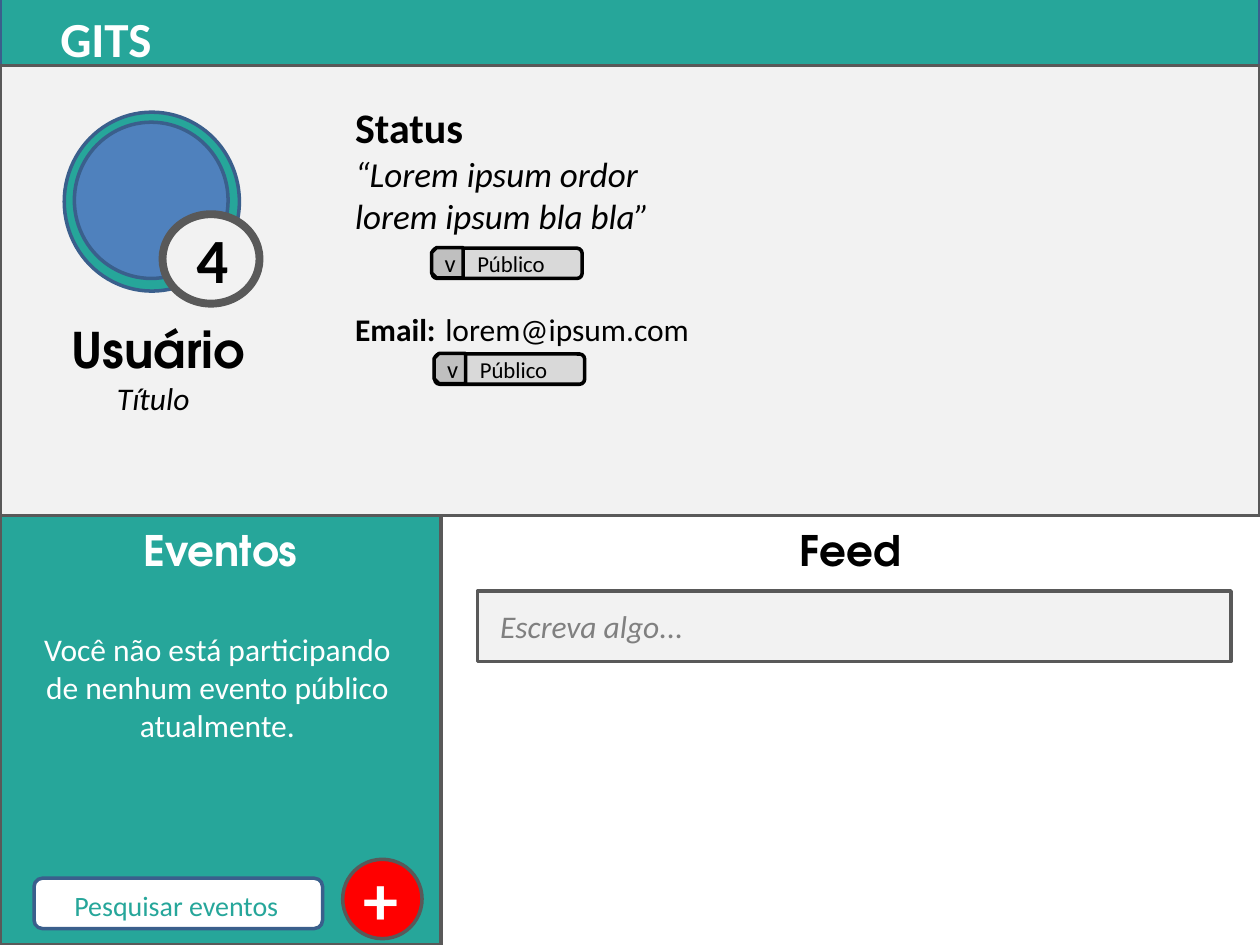
from dataclasses import dataclass, field

from lxml import etree
from pptx import Presentation
from pptx.dml.color import RGBColor
from pptx.enum.shapes import MSO_SHAPE
from pptx.enum.text import MSO_AUTO_SIZE, PP_ALIGN
from pptx.oxml.ns import qn
from pptx.util import Inches, Pt

RECT, ROUND = MSO_SHAPE.RECTANGLE, MSO_SHAPE.ROUNDED_RECTANGLE
ELLIPSE, SNIP = MSO_SHAPE.OVAL, MSO_SHAPE.SNIP_2_SAME_RECTANGLE
LEFT, CENTER = PP_ALIGN.LEFT, PP_ALIGN.CENTER

BODY, DISPLAY = "Calibri", "TeX Gyre Adventor"
TEAL, NAVY, BLUE, RED = "26A69A", "3A5F8C", "4F81BD", "FF0000"
PALE, SLATE, GREY = "F2F2F2", "595959", "808080"
BLACK, WHITE = "000000", "FFFFFF"


@dataclass
class Panel:
    kind: int
    at: tuple
    fill: str
    line: str
    width: float = 2
    rotation: float = 0


@dataclass
class Run:
    text: str
    size: float
    color: str = BLACK
    font: str = BODY
    style: dict = field(default_factory=dict)


@dataclass
class Label:
    at: tuple
    paragraphs: list
    align: int = LEFT
    tab: float = 0


BOLD, ITALIC = {"bold": True}, {"italic": True}


def rgb(value: str) -> RGBColor:
    return RGBColor.from_string(value)


def draw_panel(shapes, panel: Panel) -> None:
    sp = shapes.add_shape(panel.kind, *map(Inches, panel.at))
    sp.shadow.inherit = False
    sp.rotation = panel.rotation
    sp.fill.solid()
    sp.fill.fore_color.rgb = rgb(panel.fill)
    sp.line.color.rgb = rgb(panel.line)
    sp.line.width = Pt(panel.width)


def add_tab_stop(p, position: float) -> None:
    tabs = etree.SubElement(p._p.get_or_add_pPr(), qn("a:tabLst"))
    etree.SubElement(tabs, qn("a:tab"), pos=str(Inches(position)), algn="l")


def add_run(p, run: Run) -> None:
    """Add the run, turning newlines into line breaks."""
    for i, line in enumerate(run.text.split("\n")):
        if i:
            p.add_line_break()
        r = p.add_run()
        r.text = line
        formats = {"name": run.font, "size": Pt(run.size), **run.style}
        for name, value in formats.items():
            setattr(r.font, name, value)
        r.font.color.rgb = rgb(run.color)


def draw_label(shapes, label: Label) -> None:
    tf = shapes.add_textbox(*map(Inches, label.at)).text_frame
    tf.word_wrap = True
    tf.auto_size = MSO_AUTO_SIZE.SHAPE_TO_FIT_TEXT
    for i, runs in enumerate(label.paragraphs):
        p = tf.add_paragraph() if i else tf.paragraphs[0]
        p.alignment = label.align
        if label.tab:
            add_tab_stop(p, label.tab)
        for run in runs:
            add_run(p, run)


def draw(shapes, items: list) -> None:
    """Draw items back to front; a nested list becomes a group."""
    for item in items:
        if isinstance(item, list):
            draw(shapes.add_group_shape().shapes, item)
        elif isinstance(item, Panel):
            draw_panel(shapes, item)
        else:
            draw_label(shapes, item)


def privacy_picker(x: float, y: float) -> list:
    return [
        Panel(ROUND, (x, y, 1.19, 0.24), "D9D9D9", BLACK),
        Panel(SNIP, (x, y - 0.01, 0.24, 0.25), "BFBFBF", BLACK, rotation=270),
        Label((x, y - 0.05, 1.2, 0.34),
              [[Run("v\t", 14), Run("Público", 13)]], tab=0.26),
    ]


HEADER = [
    Panel(RECT, (0, -0.03, 10, 0.63), TEAL, NAVY),
    Label((0.38, 0.02, 1.81, 0.57), [[Run("GITS", 28, WHITE, style=BOLD)]]),
]
PROFILE = [
    Panel(RECT, (0, 0.52, 10, 3.57), PALE, SLATE),
    Label((0.47, 2.49, 1.78, 0.57),
          [[Run("Usuário", 28, font=DISPLAY, style=BOLD)]]),
    [
        Panel(ELLIPSE, (0.51, 0.89, 1.39, 1.42), TEAL, NAVY),
        Panel(ELLIPSE, (0.59, 0.97, 1.22, 1.24), BLUE, NAVY),
        Panel(ELLIPSE, (1.29, 1.7, 0.77, 0.71), PALE, SLATE, 4.5),
        Label((1.46, 1.7, 0.54, 0.71), [[Run("4", 36, style=BOLD)]]),
    ],
    Label((0.83, 2.96, 1.57, 0.4), [[Run("Título", 18, style=ITALIC)]]),
    Label((2.72, 0.76, 2.86, 1.18), [
        [Run("Status", 24, style=BOLD)],
        [Run("“Lorem ipsum ordor\nlorem ipsum bla bla”", 20, style=ITALIC)],
    ]),
    Label((2.72, 2.33, 3.03, 0.5), [[
        Run("Email:", 18, style=BOLD),
        Run(" ", 24, style=BOLD),
        Run("lorem@ipsum.com", 18),
    ]]),
]
EVENTS = [
    Panel(RECT, (0, 4.09, 3.5, 3.41), TEAL, SLATE),
    Label((0, 4.11, 3.5, 0.5),
          [[Run("Eventos", 24, WHITE, DISPLAY, BOLD)]], CENTER),
    Label((0.2, 4.95, 3.05, 1.01), [[Run(
        "Você não está participando de nenhum evento público atualmente.",
        18, WHITE)]], CENTER),
    [
        Panel(ROUND, (0.27, 6.97, 2.29, 0.4), WHITE, NAVY),
        Label((0.28, 7, 2.24, 0.37),
              [[Run("Pesquisar eventos", 16, TEAL)]], CENTER),
    ],
    [
        Panel(ELLIPSE, (2.72, 6.82, 0.63, 0.63), RED, SLATE),
        Label((2.79, 6.74, 0.39, 0.77), [[Run("+", 40, WHITE, style=BOLD)]]),
    ],
]
FEED = [
    Label((3.5, 4.11, 6.5, 0.5),
          [[Run("Feed", 24, font=DISPLAY, style=BOLD)]], CENTER),
    [
        Panel(RECT, (3.79, 4.69, 5.98, 0.56), PALE, SLATE),
        Label((3.87, 4.77, 2.52, 0.4),
              [[Run("Escreva algo...", 18, GREY, style=ITALIC)]]),
    ],
]
PICKERS = [privacy_picker(3.43, 1.97), privacy_picker(3.45, 2.81)]


def main() -> None:
    prs = Presentation()
    prs.slide_width, prs.slide_height = Inches(10), Inches(7.5)
    s = prs.slides.add_slide(prs.slide_layouts[6])
    draw(s.shapes, HEADER + PROFILE + EVENTS + FEED + PICKERS)
    prs.save("out.pptx")


if __name__ == "__main__":
    main()
